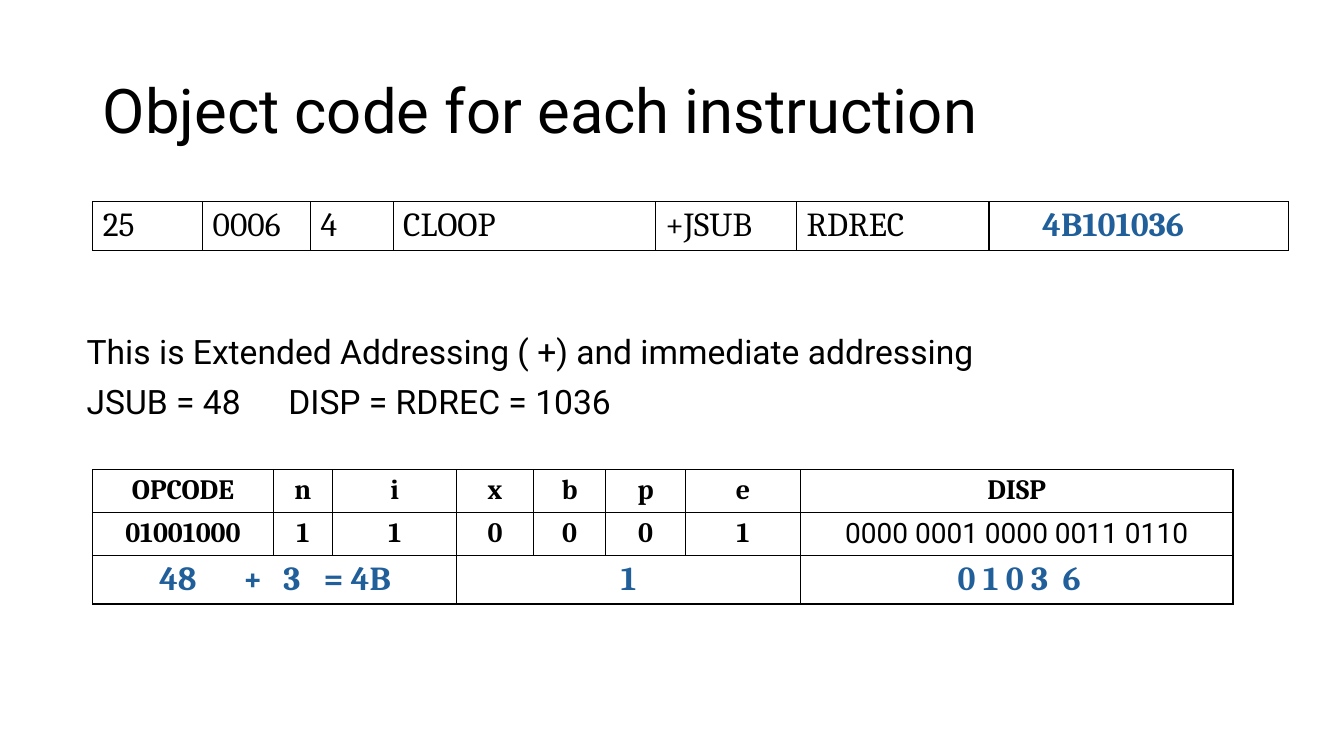
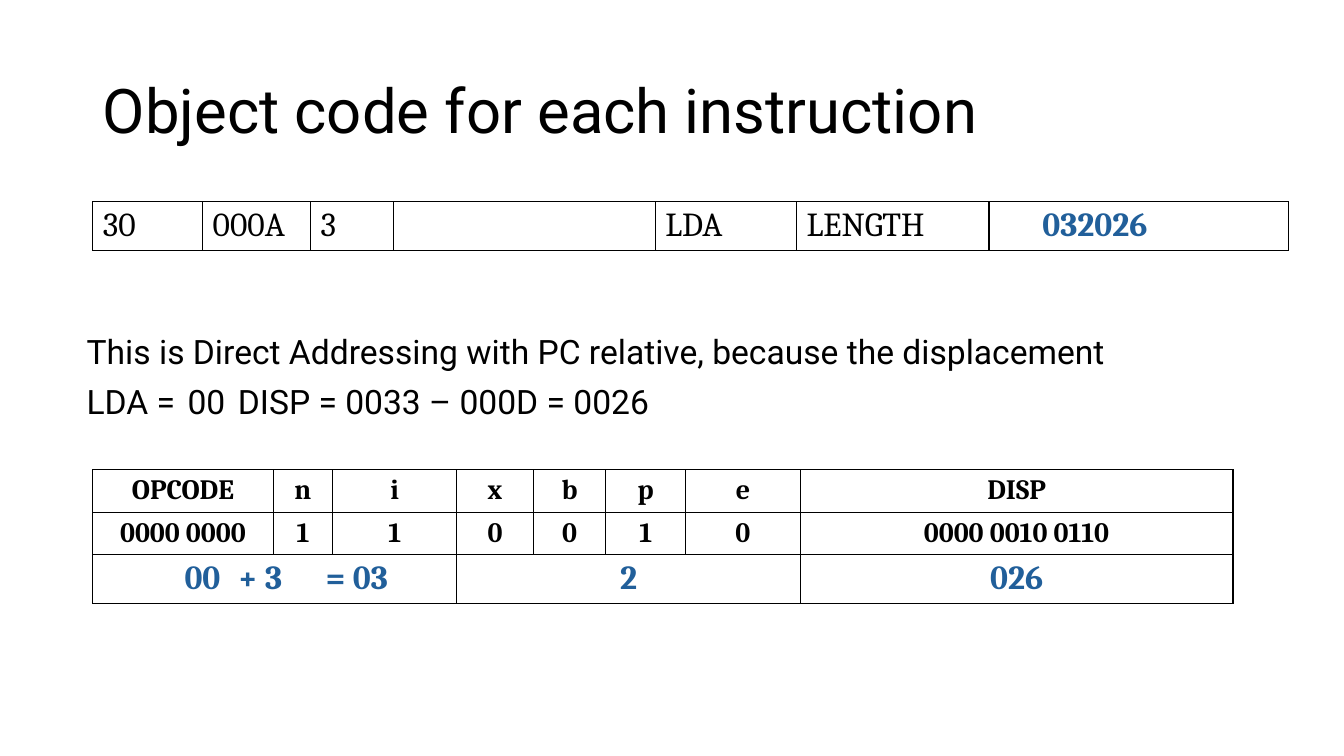
from dataclasses import dataclass, replace

from lxml.etree import SubElement
from pptx import Presentation
from pptx.dml.color import RGBColor
from pptx.enum.text import MSO_ANCHOR as Anchor, MSO_AUTO_SIZE as AutoSize, PP_ALIGN as Align
from pptx.oxml.ns import qn
from pptx.util import Emu, Inches, Pt

BLACK, WHITE, BLUE = "000000", "FFFFFF", "215F9A"
SANS, SERIF = "Roboto", "Cambria"
TITLE = "Object code for each instruction"
TITLE_BOX = (0.92, 0.4, 11.5, 1.45)
BODY_BOX = (0.76, 3.28, 12.3, 3.82)
TABLE_LEFT = 0.92
LISTING_COLUMNS = (1.09, 1.07, 0.82, 2.6, 1.4, 1.91, 2.97)
FORMAT_COLUMNS = (1.79, 0.59, 1.23, 0.76, 0.72, 0.79, 1.14, 4.29)
FORMAT_FIELDS = ("OPCODE", "n", "i", "x", "b", "p", "e", "DISP")
HEX_GROUPS = ((0, 2), (3, 6), (7, 7))


@dataclass(frozen=True)
class Style:
    size: int
    font: str = SERIF
    color: str = BLACK
    bold: bool = False
    align: Align = Align.LEFT


@dataclass(frozen=True)
class Line:
    """Text whose tab characters move to the given stops, in inches."""
    text: str
    tabs: tuple[float, ...] = ()
    margin: float | None = None


@dataclass(frozen=True)
class Instruction:
    listing: tuple[str, ...]
    object_code: str
    explanation: tuple[Line, ...]
    bits: tuple[str, ...]
    displacement_style: Style
    hex_digits: tuple[Line, ...]


TITLE_STYLE = Style(44, SANS)
BODY_STYLE = Style(24, SANS)
LISTING_STYLE = Style(24)
CODE_STYLE = Style(24, color=BLUE, bold=True)
BIT_STYLE = Style(20, bold=True, align=Align.CENTER)
HEX_STYLE = replace(CODE_STYLE, align=Align.CENTER)

INSTRUCTIONS = (
    Instruction(
        listing=("25", "0006", "4", "CLOOP", "+JSUB", "RDREC"),
        object_code="4B101036",
        explanation=(
            Line("This is Extended Addressing ( +) and immediate addressing"),
            Line("JSUB = 48\tDISP = RDREC = 1036", (2.35,)),
        ),
        bits=("01001000", "1", "1", "0", "0", "0", "1", "0000 0001 0000 0011 0110"),
        displacement_style=Style(20, SANS, align=Align.CENTER),
        hex_digits=(
            Line("48\t+\t3\t= 4B", (0.83, 1.23, 1.63), 0.66),
            Line("1"),
            Line("0 1 0 3\t6", (1.04,), 1.56),
        ),
    ),
    Instruction(
        listing=("30", "000A", "3", "", "LDA", "LENGTH"),
        object_code="032026",
        explanation=(
            Line("This is Direct Addressing with PC relative, because the displacement"),
            Line("LDA =\t00\tDISP = 0033 – 000D = 0026", (1.2, 2.08)),
        ),
        bits=("0000 0000", "1", "1", "0", "0", "1", "0", "0000 0010 0110"),
        displacement_style=BIT_STYLE,
        hex_digits=(
            Line("00\t+ 3\t= 03", (0.53, 1.4), 0.91),
            Line("2"),
            Line("026"),
        ),
    ),
)


def rgb(color: str) -> RGBColor:
    return RGBColor.from_string(color)


def add_tabs(paragraph, stops: tuple[float, ...]) -> None:
    tab_list = SubElement(paragraph._p.get_or_add_pPr(), qn("a:tabLst"))
    for stop in stops:
        SubElement(tab_list, qn("a:tab"), pos=str(Inches(stop)), algn="l")


def write(paragraph, line: Line, style: Style) -> None:
    if line.tabs:
        add_tabs(paragraph, line.tabs)
    paragraph.alignment = Align.LEFT if line.tabs else style.align
    run = paragraph.add_run()
    run.text = line.text
    font = run.font
    font.name, font.size, font.bold = style.font, Pt(style.size), style.bold
    font.color.rgb = rgb(style.color)


def place(placeholder, box: tuple[float, ...], anchor: Anchor):
    """Move a placeholder and return its text frame."""
    placeholder.left, placeholder.top, placeholder.width, placeholder.height = map(Inches, box)
    frame = placeholder.text_frame
    frame.auto_size = AutoSize.NONE
    frame.word_wrap = True
    frame.vertical_anchor = anchor
    return frame


def write_title(slide) -> None:
    heading = place(slide.shapes.title, TITLE_BOX, Anchor.MIDDLE).paragraphs[0]
    heading.line_spacing = 0.9
    write(heading, Line(TITLE), TITLE_STYLE)


def write_explanation(slide, lines: tuple[Line, ...]) -> None:
    frame = place(slide.placeholders[1], BODY_BOX, Anchor.TOP)
    for index, line in enumerate(lines):
        paragraph = frame.add_paragraph() if index else frame.paragraphs[0]
        paragraph.line_spacing = 0.9
        paragraph.space_before = Pt(10 if index else 0)
        properties = paragraph._p.get_or_add_pPr()
        properties.set("marL", "0")
        properties.set("indent", "0")
        SubElement(properties, qn("a:buNone"))
        write(paragraph, line, BODY_STYLE)


def rule_cell(cell) -> None:
    """Give a cell thin black borders on a white ground."""
    properties = cell._tc.get_or_add_tcPr()
    for side in ("lnL", "lnR", "lnT", "lnB"):
        border = SubElement(properties, qn(f"a:{side}"), w=str(Pt(1)))
        fill = SubElement(border, qn("a:solidFill"))
        SubElement(fill, qn("a:srgbClr"), val=BLACK)
    cell.fill.solid()
    cell.fill.fore_color.rgb = rgb(WHITE)


def add_ruled_table(slide, top: float, columns: tuple[float, ...], rows: tuple[float, ...]):
    table = slide.shapes.add_table(
        len(rows), len(columns), Inches(TABLE_LEFT), Inches(top),
        Inches(sum(columns)), Inches(sum(rows)),
    ).table
    table.first_row = table.horz_banding = False
    for column, width in zip(table.columns, columns):
        column.width = Emu(Inches(width))
    for row, height in zip(table.rows, rows):
        row.height = Inches(height)
    for cell in table.iter_cells():
        rule_cell(cell)
    return table


def fill_cell(cell, line: Line, style: Style) -> None:
    if line.margin is not None:
        cell.margin_left = Inches(line.margin)
    if line.text:
        write(cell.text_frame.paragraphs[0], line, style)


def add_listing(slide, instruction: Instruction) -> None:
    table = add_ruled_table(slide, 2, LISTING_COLUMNS, (0.48,))
    for column, text in enumerate(instruction.listing):
        fill_cell(table.cell(0, column), Line(text), LISTING_STYLE)
    code_cell = table.cell(0, len(LISTING_COLUMNS) - 1)
    fill_cell(code_cell, Line(instruction.object_code, margin=0.53), CODE_STYLE)


def add_format(slide, instruction: Instruction) -> None:
    table = add_ruled_table(slide, 4.66, FORMAT_COLUMNS, (0.41, 0.41, 0.48))
    bit_styles = [BIT_STYLE] * (len(FORMAT_FIELDS) - 1) + [instruction.displacement_style]
    for column, (field, bit, style) in enumerate(
        zip(FORMAT_FIELDS, instruction.bits, bit_styles)
    ):
        fill_cell(table.cell(0, column), Line(field), BIT_STYLE)
        fill_cell(table.cell(1, column), Line(bit), style)
    for (first, last), digits in zip(HEX_GROUPS, instruction.hex_digits):
        group = table.cell(2, first)
        if last > first:
            group.merge(table.cell(2, last))
        fill_cell(group, digits, HEX_STYLE)


def main() -> None:
    deck = Presentation()
    deck.slide_width, deck.slide_height = Inches(13.33), Inches(7.5)
    for instruction in INSTRUCTIONS:
        slide = deck.slides.add_slide(deck.slide_layouts[1])
        write_title(slide)
        add_listing(slide, instruction)
        write_explanation(slide, instruction.explanation)
        add_format(slide, instruction)
    deck.save("out.pptx")


if __name__ == "__main__":
    main()
